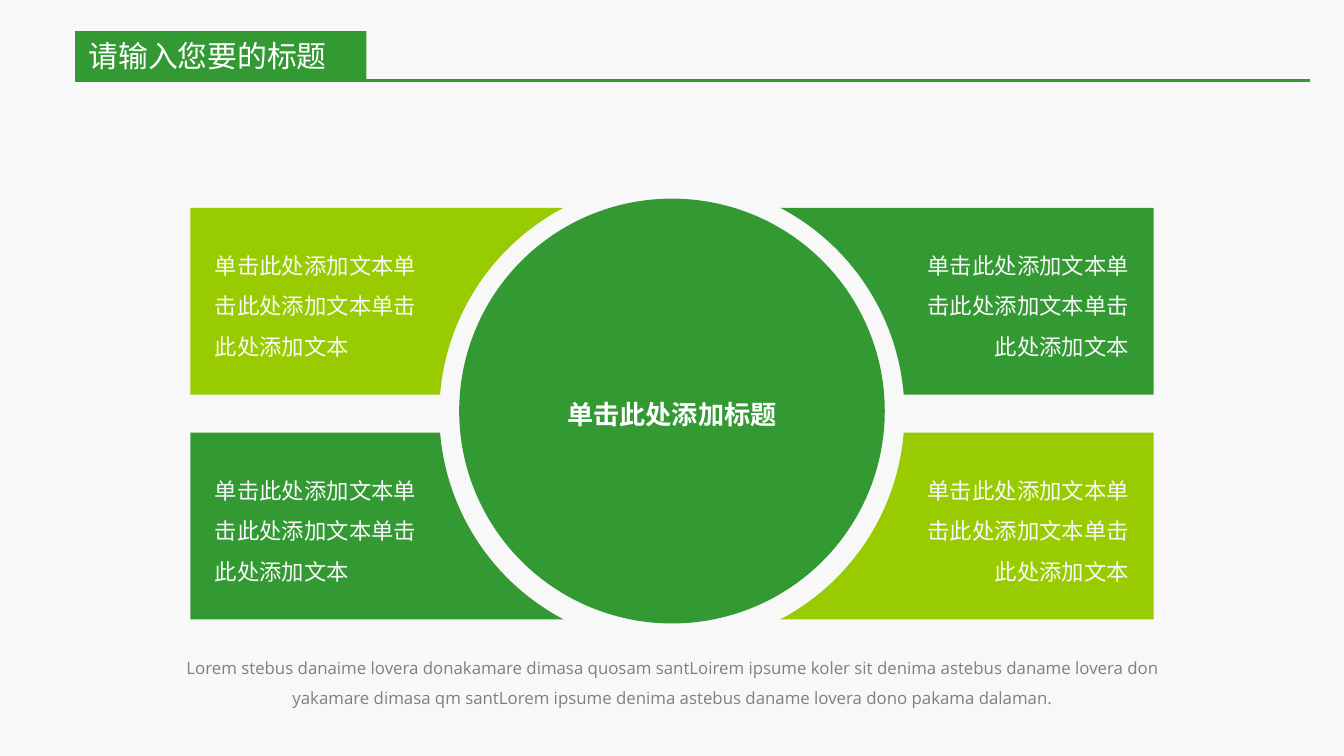
from math import asin, cos, sin, tan

from lxml.etree import SubElement
from pptx import Presentation
from pptx.dml.color import RGBColor
from pptx.enum.shapes import MSO_CONNECTOR, MSO_SHAPE
from pptx.enum.text import MSO_ANCHOR, MSO_AUTO_SIZE, PP_ALIGN
from pptx.oxml.ns import qn
from pptx.util import Pt

TITLE = "请输入您要的标题"
CENTER_LABEL = "单击此处添加标题"
PANEL_TEXT = "单击此处添加文本单击此处添加文本单击此处添加文本"
CAPTION = (
    "Lorem stebus danaime lovera donakamare dimasa quosam santLoirem ipsume "
    "koler sit denima astebus daname lovera don yakamare dimasa qm santLorem "
    "ipsume denima astebus daname lovera dono pakama dalaman."
)
# Horizontal side, vertical side, fill, alignment, text
PANELS = [
    (-1, -1, "lime", PP_ALIGN.LEFT, PANEL_TEXT),
    (1, -1, "green", PP_ALIGN.RIGHT, PANEL_TEXT),
    (-1, 1, "green", PP_ALIGN.LEFT, PANEL_TEXT),
    (1, 1, "lime", PP_ALIGN.RIGHT, PANEL_TEXT),
]

THEME = {
    "background": RGBColor.from_string("F8F8F8"),
    "green": RGBColor.from_string("339933"),
    "lime": RGBColor.from_string("99CC00"),
    "title": {"name": "Noto Sans CJK SC", "size": Pt(16), "bold": False, "color": "FFFFFF"},
    "center": {"name": "Noto Sans CJK SC", "size": Pt(14), "bold": True, "color": "FFFFFF"},
    "panel": {"name": "Calibri", "size": Pt(12), "bold": False, "color": "F8F8F8"},
    "caption": {"name": "Open Sans", "size": Pt(9), "bold": False, "color": "7F7F7F"},
}

SLIDE_WIDTH, SLIDE_HEIGHT = 720, 405
CENTER_X, CENTER_Y = 360, 221.6
PANEL_REACH, PANEL_INNER, PANEL_OUTER = 258, 10.2, 110.2
CUT_RADIUS = 124.6
TEXT_WIDTH, TEXT_HEIGHT, TEXT_MARGIN, TEXT_DROP = 126, 73, 6, 13
CIRCLE = (246, 106.4, 228, 227.6)
TITLE_BOX = (40.3, 16.6, 156, 26.6)
CAPTION_BOX = (90, 344, 540, 38)
RULE_RIGHT, RULE_Y = 702, 43.2


def points(values):
    return [Pt(value) for value in values]


def paint(shape, color):
    shape.shadow.inherit = False
    shape.fill.solid()
    shape.fill.fore_color.rgb = THEME[color]
    shape.line.fill.background()


def write(shape, text, style, alignment, spacing=1.0, **frame_format):
    frame = shape.text_frame
    for key, value in {"word_wrap": True, **frame_format}.items():
        setattr(frame, key, value)
    paragraph = frame.paragraphs[0]
    paragraph.alignment, paragraph.line_spacing = alignment, spacing
    run = paragraph.add_run()
    run.text = text
    values = dict(THEME[style])
    run.font.color.rgb = RGBColor.from_string(values.pop("color"))
    for key, value in values.items():
        setattr(run.font, key, value)
    SubElement(run.font._element, qn("a:ea"), typeface=values["name"])


def cut_curve():
    """Return the four Bezier points of the arc, as offsets from the centre."""
    start, stop = (asin(edge / CUT_RADIUS) for edge in (PANEL_OUTER, PANEL_INNER))
    handle = 4 / 3 * tan((stop - start) / 4)
    ends = [(start, 0), (start, handle), (stop, -handle), (stop, 0)]
    return [(CUT_RADIUS * (cos(angle) - pull * sin(angle)),
             CUT_RADIUS * (sin(angle) + pull * cos(angle))) for angle, pull in ends]


def bend_first_side(shape, curve):
    """Turn the first straight side of a freeform into a Bezier curve."""
    line = shape._element.find(".//" + qn("a:lnTo"))
    bezier = line.makeelement(qn("a:cubicBezTo"))
    for x, y in curve:
        SubElement(bezier, qn("a:pt"), x=str(x - shape.left), y=str(y - shape.top))
    line.getparent().replace(line, bezier)


def add_panel(slide, side, level, color, alignment, text):
    """Add a rectangle whose inner edge follows a circle around the centre."""
    offsets = cut_curve() + [(PANEL_REACH, PANEL_INNER), (PANEL_REACH, PANEL_OUTER)]
    outline = [points((CENTER_X + side * x, CENTER_Y + level * y)) for x, y in offsets]
    builder = slide.shapes.build_freeform(*outline[0])
    builder.add_line_segments(outline[3:], close=True)
    panel = builder.convert_to_shape()
    bend_first_side(panel, outline[1:4])
    paint(panel, color)

    edge = CENTER_X + side * (PANEL_REACH - TEXT_MARGIN)
    left = edge if side < 0 else edge - TEXT_WIDTH
    top = CENTER_Y + (PANEL_INNER if level > 0 else -PANEL_OUTER) + TEXT_DROP
    box = slide.shapes.add_textbox(*points((left, top, TEXT_WIDTH, TEXT_HEIGHT)))
    write(box, text, "panel", alignment, 1.5, auto_size=MSO_AUTO_SIZE.SHAPE_TO_FIT_TEXT)


def main():
    presentation = Presentation()
    presentation.slide_width, presentation.slide_height = points((SLIDE_WIDTH, SLIDE_HEIGHT))
    slide = presentation.slides.add_slide(presentation.slide_layouts[5])
    backdrop = slide.shapes.add_shape(
        MSO_SHAPE.RECTANGLE, *points((0, 0, SLIDE_WIDTH, SLIDE_HEIGHT)))
    paint(backdrop, "background")

    for panel in PANELS:
        add_panel(slide, *panel)

    circle = slide.shapes.add_shape(MSO_SHAPE.OVAL, *points(CIRCLE))
    paint(circle, "green")
    write(circle, CENTER_LABEL, "center", PP_ALIGN.CENTER, 1.2,
          vertical_anchor=MSO_ANCHOR.MIDDLE)

    caption = slide.shapes.add_textbox(*points(CAPTION_BOX))
    write(caption, CAPTION, "caption", PP_ALIGN.CENTER, 1.5,
          auto_size=MSO_AUTO_SIZE.SHAPE_TO_FIT_TEXT,
          margin_left=Pt(5), margin_right=Pt(5), margin_top=Pt(3), margin_bottom=Pt(3))

    title = slide.shapes.title
    slide.shapes._spTree.append(title._element)  # bring in front of the backdrop
    title.left, title.top, title.width, title.height = points(TITLE_BOX)
    title.fill.solid()
    title.fill.fore_color.rgb = THEME["green"]
    write(title, TITLE, "title", PP_ALIGN.LEFT, auto_size=MSO_AUTO_SIZE.NONE,
          vertical_anchor=MSO_ANCHOR.MIDDLE, margin_top=0, margin_bottom=0)

    rule = slide.shapes.add_connector(
        MSO_CONNECTOR.STRAIGHT, *points((RULE_RIGHT, RULE_Y, TITLE_BOX[0], RULE_Y)))
    rule.line.color.rgb = THEME["green"]
    rule.line.width = Pt(1.5)
    SubElement(rule._element.spPr, qn("a:effectLst"))

    presentation.save("out.pptx")


if __name__ == "__main__":
    main()
